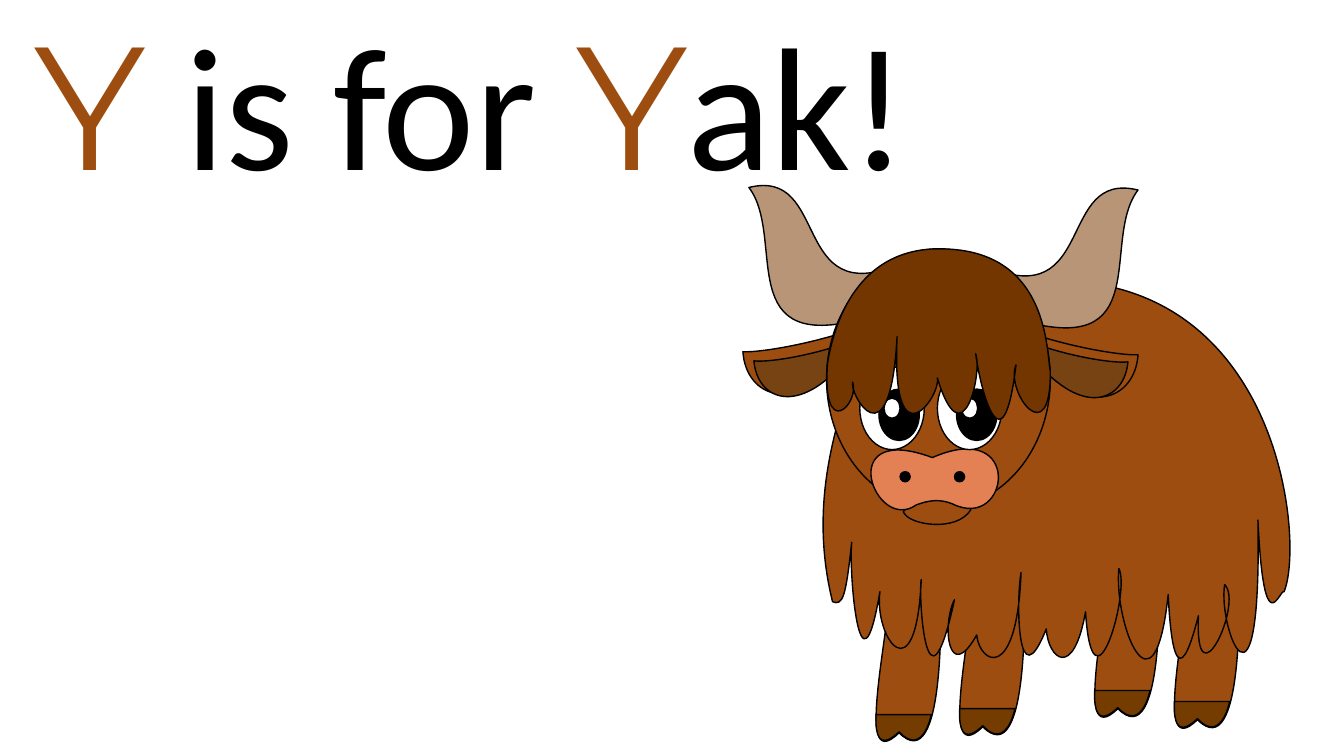
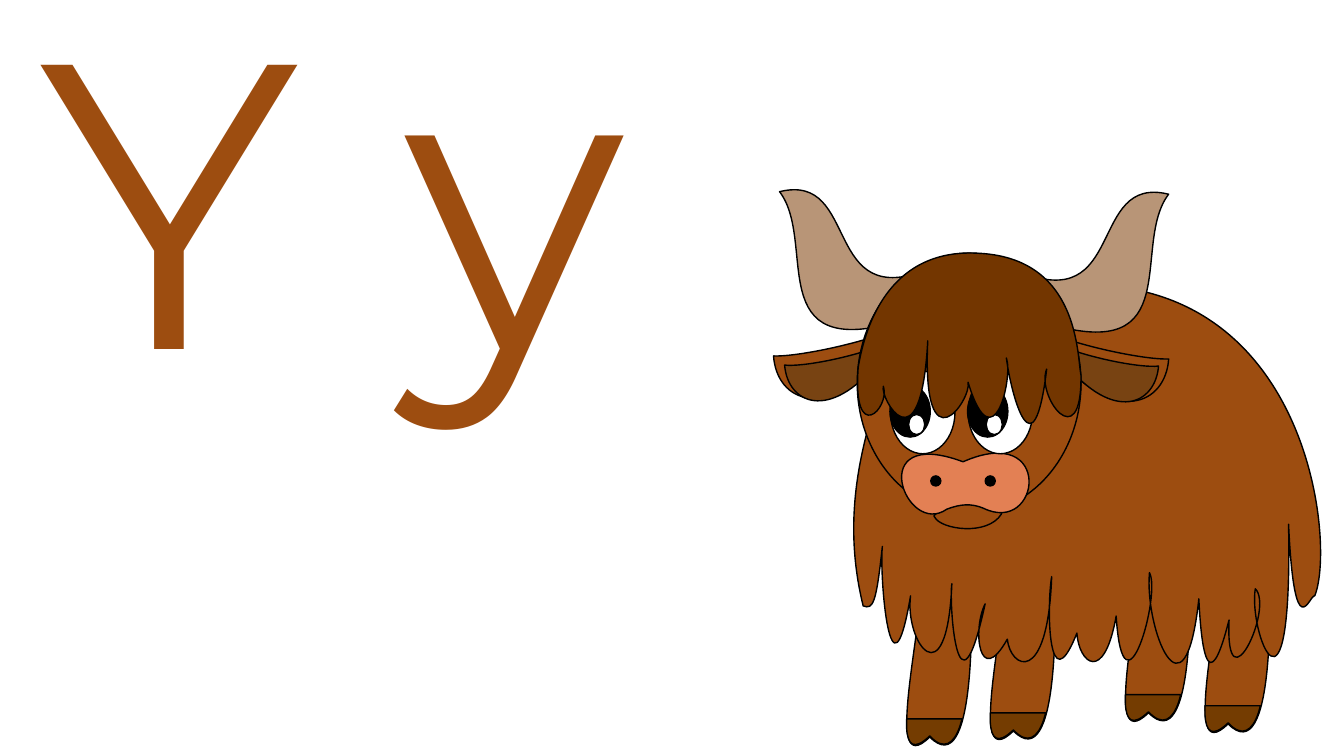
from lxml import etree
from pptx import Presentation
from pptx.dml.color import RGBColor
from pptx.enum import shapes, text
from pptx.oxml import ns
from pptx.util import Pt

COLORS = {
    "coat": "9D4D10",
    "hoof": "743C01",
    "horn": "B89577",
    "inner_ear": "784312",
    "muzzle": "E38054",
    "fringe": "733600",
    "black": "000000",
    "white": "FFFFFF",
}
UNIT = 0.72
CURVE_STEPS = 16
PATH_TAGS = {"M": "a:moveTo", "L": "a:lnTo", "C": "a:cubicBezTo"}
LETTER_FONT = "Montserrat"
WORD_FONT = "Calibri"

LEG = "M 885 548 L 932 548 C 935 606 938 773 892 727 C 843 775 889 607 885 548"
HOOF = "M 869 709 L 924 709 L 922 716 C 916 734 906 741 892 726 C 876 741 870 735 869 718 L 869 709"
LEG_SHIFTS = [(0, 0), (83, -6), (296, -13), (217, -24)]
EAR = "M 737 349 C 756 350 817 339 859 322 L 850 344 C 790 417 740 394 737 349"
INNER_EAR = "M 748 358 C 764 360 814 351 848 337 L 841 355 C 792 415 751 396 748 358"
HORN = "M 743 186 C 824 166 784 308 893 262 L 864 314 C 724 356 781 236 743 186"
BODY = (
    "M 864 322 C 1257 153 1299 526 1274 587 C 1269 585 1254 642 1248 516 "
    "C 1252 736 1208 623 1215 580 C 1234 599 1185 702 1189 611 "
    "C 1187 617 1165 715 1159 590 C 1145 721 1105 619 1110 564 "
    "C 1122 586 1084 718 1077 607 C 1065 675 1040 654 1038 624 "
    "C 1009 697 1008 596 1013 568 C 1009 678 972 659 969 630 "
    "C 941 680 934 620 947 595 C 919 724 911 591 914 575 "
    "C 909 692 867 633 873 587 C 853 705 842 567 845 538 "
    "C 839 594 836 601 826 597 C 799 488 836 400 864 322"
)
LIP = "M 897 509 C 891 507 916 495 927 495 C 938 494 967 503 963 506 C 949 528 903 521 897 509"
MUZZLE = (
    "M 925 454 C 1016 414 1002 528 945 500 C 933 495 922 496 909 501 "
    "C 868 530 826 417 925 454"
)
FRINGE = (
    "M 846 379 C 853 401 815 439 821 360 C 825 338 842 242 939 247 "
    "C 1041 251 1038 349 1042 368 C 1043 450 997 389 1008 362 "
    "C 995 470 973 389 968 351 C 975 369 955 458 930 375 "
    "C 934 392 884 464 890 334 C 883 464 842 390 846 379"
)


def rgb(color):
    return RGBColor.from_string(COLORS[color])


def read_outline(outline):
    for command in outline.replace("L", "|L").replace("C", "|C").split("|"):
        letter, *numbers = command.split()
        values = [int(number) for number in numbers]
        yield letter, list(zip(values[::2], values[1::2]))


def sample_curve(start, first, second, end):
    for step in range(1, CURVE_STEPS + 1):
        t = step / CURVE_STEPS
        s = 1 - t
        yield tuple(
            s**3 * a + 3 * s * s * t * b + 3 * s * t * t * c + t**3 * d
            for a, b, c, d in zip(start, first, second, end)
        )


def sample_outline(commands):
    points = []
    for letter, pairs in commands:
        points.extend(sample_curve(points[-1], *pairs) if letter == "C" else pairs)
    return points


def set_curves(shape, commands):
    path = next(shape._element.iter(ns.qn("a:path")))
    for child in list(path):
        path.remove(child)
    for letter, pairs in commands:
        segment = etree.SubElement(path, ns.qn(PATH_TAGS[letter]))
        for x, y in pairs:
            etree.SubElement(
                segment, ns.qn("a:pt"), x=str(x - shape.left), y=str(y - shape.top)
            )
    etree.SubElement(path, ns.qn("a:close"))


def finish(shape, color):
    shape.shadow.inherit = False
    shape.fill.solid()
    shape.fill.fore_color.rgb = rgb(color)
    shape.line.color.rgb = rgb("black")
    shape.line.width = Pt(1)


class Sketch:
    def __init__(self, page, left, top):
        self.shapes = page.shapes.add_group_shape().shapes
        self.left = left
        self.top = top

    def place(self, x, y):
        return Pt(self.left + x * UNIT), Pt(self.top + y * UNIT)

    def outline(self, outline, color, shift=(0, 0), mirror=None):
        commands = [
            (letter, [
                self.place((x if mirror is None else mirror - x) + shift[0], y + shift[1])
                for x, y in pairs
            ])
            for letter, pairs in read_outline(outline)
        ]
        points = sample_outline(commands)
        builder = self.shapes.build_freeform(*points[0], scale=1.0)
        builder.add_line_segments(points[1:], close=True)
        shape = builder.convert_to_shape()
        set_curves(shape, commands)
        finish(shape, color)

    def ellipse(self, x, y, width, height, color):
        oval = self.shapes.add_shape(
            shapes.MSO_SHAPE.OVAL, *self.place(x, y), Pt(width * UNIT), Pt(height * UNIT)
        )
        finish(oval, color)

    def eye(self, x, y, pupil, glint):
        self.ellipse(x, y, 64, 82, "white")
        self.ellipse(x + pupil[0], y + pupil[1], 40, 51, "black")
        self.ellipse(x + glint[0], y + glint[1], 16, 20, "white")


def draw_yak(page, left, top, pupil, glint):
    yak = Sketch(page, left, top)
    for shift in LEG_SHIFTS:
        yak.outline(LEG, "coat", shift)
        yak.outline(HOOF, "hoof", shift)
    yak.outline(EAR, "coat")
    yak.outline(HORN, "horn")
    yak.outline(BODY, "coat")
    yak.outline(EAR, "coat", (0, 3), mirror=1866)
    yak.outline(HORN, "horn", (0, 2.5), mirror=1872)
    yak.outline(INNER_EAR, "inner_ear", (0, 1), mirror=1867)
    yak.outline(INNER_EAR, "inner_ear")
    yak.ellipse(820, 247, 222, 258, "coat")
    yak.outline(LIP, "coat")
    yak.outline(MUZZLE, "muzzle")
    for x in (893, 947):
        yak.ellipse(x, 468, 10, 10, "black")
    for x in (930, 853):
        yak.eye(x, 364, pupil, glint)
    yak.outline(FRINGE, "fringe")


def outline_text(span):
    line = etree.Element(ns.qn("a:ln"), w=str(Pt(0.75)))
    fill = etree.SubElement(line, ns.qn("a:solidFill"))
    etree.SubElement(fill, ns.qn("a:srgbClr"), val=COLORS["black"])
    span._r.get_or_add_rPr().insert(0, line)


def add_title(page, left, top, width, height, size, align, spans):
    box = page.shapes.title
    box.left, box.top, box.width, box.height = map(Pt, (left, top, width, height))
    frame = box.text_frame
    frame.word_wrap = True
    frame.auto_size = text.MSO_AUTO_SIZE.SHAPE_TO_FIT_TEXT
    frame.vertical_anchor = text.MSO_ANCHOR.TOP
    para = frame.paragraphs[0]
    para.alignment = align
    for words, font, color, outlined in spans:
        span = para.add_run()
        span.text = words
        span.font.name = font
        span.font.size = Pt(size)
        span.font.color.rgb = rgb(color)
        if outlined:
            outline_text(span)


def main():
    deck = Presentation()
    deck.slide_width, deck.slide_height = Pt(960), Pt(540)
    title_only = deck.slide_layouts[5]

    page = deck.slides.add_slide(title_only)
    add_title(page, -33.1, -6.5, 767.5, 158.4, 125, text.PP_ALIGN.CENTER, [
        ("Y", LETTER_FONT, "coat", True),
        (" is for ", WORD_FONT, "black", False),
        ("Y", LETTER_FONT, "coat", True),
        ("ak", WORD_FONT, "black", True),
        ("! ", WORD_FONT, "black", False),
    ])
    draw_yak(page, 0, 0, pupil=(19, 22), glint=(24, 31))

    page = deck.slides.add_slide(title_only)
    add_title(page, 21.6, -43.9, 563.8, 358.6, 290, text.PP_ALIGN.LEFT, [
        ("Y y", LETTER_FONT, "coat", True),
    ])
    draw_yak(page, 21.9, 3, pupil=(-0.5, 14.5), glint=(18, 43))

    deck.save("out.pptx")


if __name__ == "__main__":
    main()
